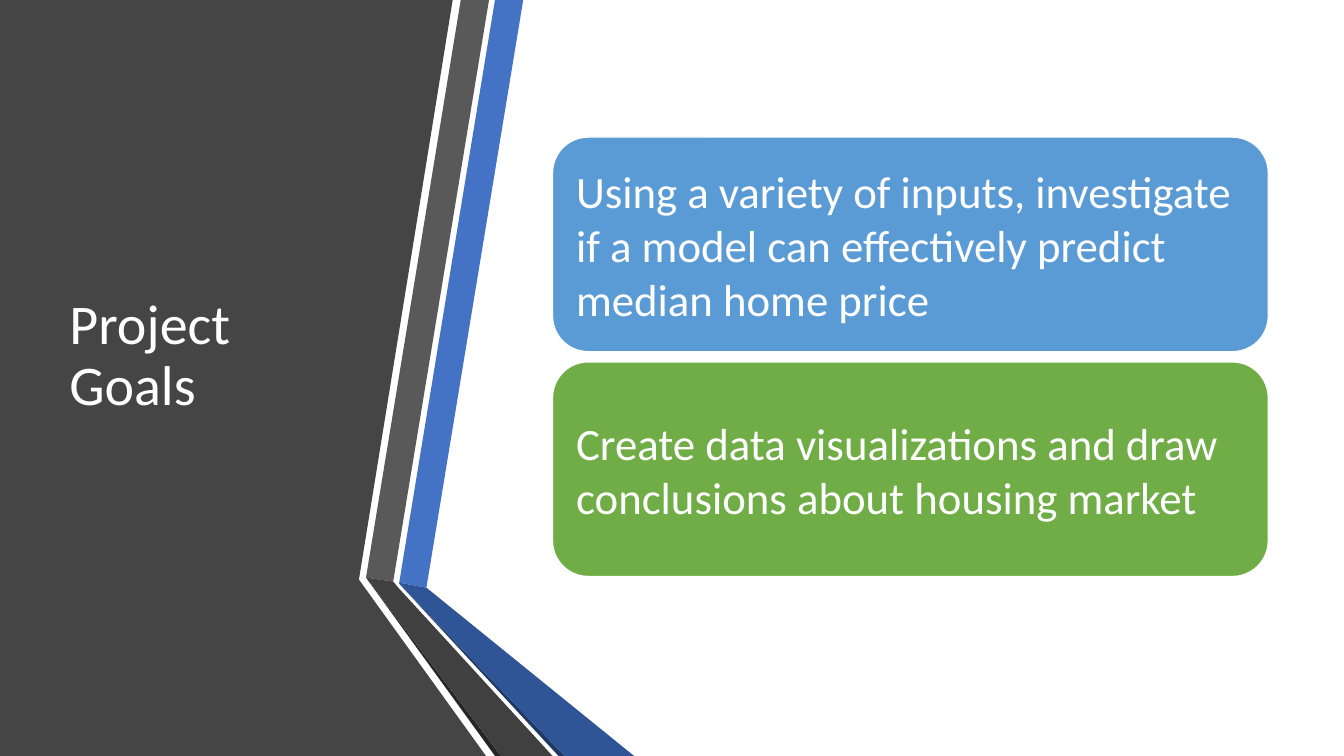
from pptx import Presentation
from pptx.dml.color import RGBColor
from pptx.enum.shapes import MSO_SHAPE
from pptx.enum.text import MSO_ANCHOR, PP_ALIGN
from pptx.util import Inches, Pt

COLORS = {
    "panel": "454545",
    "blue_band": "4472C4",
    "gray_band": "595959",
    "gray_edge": "262626",
    "blue_edge": "203864",
    "blue_fold": "2F5597",
    "gray_fold": "404040",
    "inputs_goal": "5B9BD5",
    "visuals_goal": "70AD47",
    "white": "FFFFFF",
}

BACKDROP = [
    ("panel", [(0, 0), (4.49, 0), (3.56, 5.75), (4.82, 7.5), (0, 7.5)]),
    ("blue_band", [(3.96, 5.78), (4.23, 5.83), (5.19, 0), (4.91, 0)]),
    ("gray_band", [(4.85, 0), (4.57, 0), (3.63, 5.73), (3.9, 5.77)]),
    ("gray_edge", [(3.63, 5.73), (4.91, 7.5), (4.97, 7.5)]),
    ("blue_edge", [(3.96, 5.79), (5.54, 7.5), (5.6, 7.5)]),
    ("blue_fold", [(3.96, 5.79), (5.6, 7.5), (6.29, 7.5), (4.23, 5.83), (3.96, 5.78)]),
    ("gray_fold", [(5.48, 7.5), (3.95, 5.83), (3.9, 5.77), (3.63, 5.73), (4.97, 7.5)]),
]

GOALS = [
    ("inputs_goal", "Using a variety of inputs, investigate if a model can "
                    "effectively predict median home price"),
    ("visuals_goal", "Create data visualizations and draw conclusions about housing market"),
]
GOAL_LEFT, GOAL_TOP, GOAL_WIDTH, GOAL_HEIGHT = 5.48, 1.36, 7.1, 2.13
GOAL_PITCH = 2.23
GOAL_INSET = 0.13


def rgb(name):
    """Return the named colour."""
    return RGBColor.from_string(COLORS[name])


def apply_format(target, values):
    """Set each attribute in values on target."""
    for attribute, value in values.items():
        setattr(target, attribute, value)


def fill_shape(shape, color):
    """Give a shape a solid fill and no shadow."""
    shape.shadow.inherit = False
    shape.fill.solid()
    shape.fill.fore_color.rgb = rgb(color)


def write_text(frame, text, size, line_spacing, inset_x, inset_y):
    """Write one white, left-aligned, vertically centred paragraph."""
    apply_format(frame, {
        "word_wrap": True,
        "vertical_anchor": MSO_ANCHOR.MIDDLE,
        "margin_left": Inches(inset_x),
        "margin_right": Inches(inset_x),
        "margin_top": Inches(inset_y),
        "margin_bottom": Inches(inset_y),
    })
    paragraph = frame.paragraphs[0]
    apply_format(paragraph, {"alignment": PP_ALIGN.LEFT, "line_spacing": line_spacing})
    run = paragraph.add_run()
    run.text = text
    apply_format(run.font, {"name": "Calibri", "size": Pt(size)})
    run.font.color.rgb = rgb("white")


def add_facet(slide, color, corners):
    """Draw one closed polygon of the folded backdrop."""
    start, *rest = [(Inches(x), Inches(y)) for x, y in corners]
    builder = slide.shapes.build_freeform(*start)
    builder.add_line_segments(rest, close=True)
    facet = builder.convert_to_shape()
    fill_shape(facet, color)
    facet.line.fill.background()


def add_title(slide, text):
    """Place the slide title on the dark panel."""
    title = slide.shapes.add_textbox(Inches(0.59), Inches(0.75), Inches(3.04), Inches(5.58))
    write_text(title.text_frame, text, 40, 0.9, 0.1, 0.05)


def add_goal(slide, top, color, text):
    """Draw one rounded goal card with its text."""
    card = slide.shapes.add_shape(
        MSO_SHAPE.ROUNDED_RECTANGLE,
        Inches(GOAL_LEFT), Inches(top), Inches(GOAL_WIDTH), Inches(GOAL_HEIGHT))
    fill_shape(card, color)
    card.line.color.rgb = rgb("white")
    card.line.width = Pt(1)
    write_text(card.text_frame, text, 32, 1.0, GOAL_INSET, GOAL_INSET)


def main():
    """Build and save the project goals slide."""
    deck = Presentation()
    apply_format(deck, {"slide_width": Inches(13.33), "slide_height": Inches(7.5)})
    slide = deck.slides.add_slide(deck.slide_layouts[6])
    for color, corners in BACKDROP:
        add_facet(slide, color, corners)
    add_title(slide, "Project Goals")
    for index, (color, text) in enumerate(GOALS):
        add_goal(slide, GOAL_TOP + index * GOAL_PITCH, color, text)
    deck.save("out.pptx")


if __name__ == "__main__":
    main()
